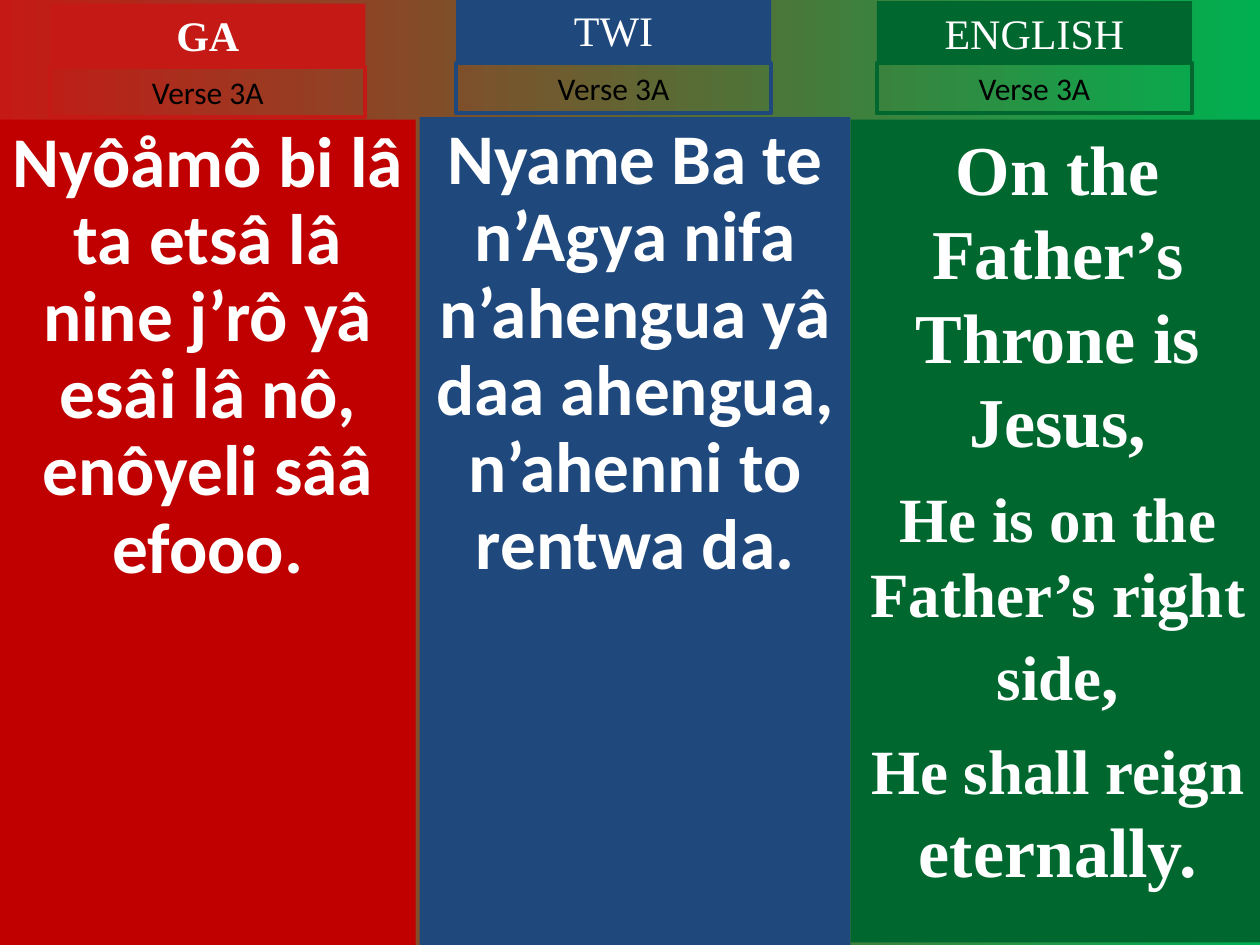
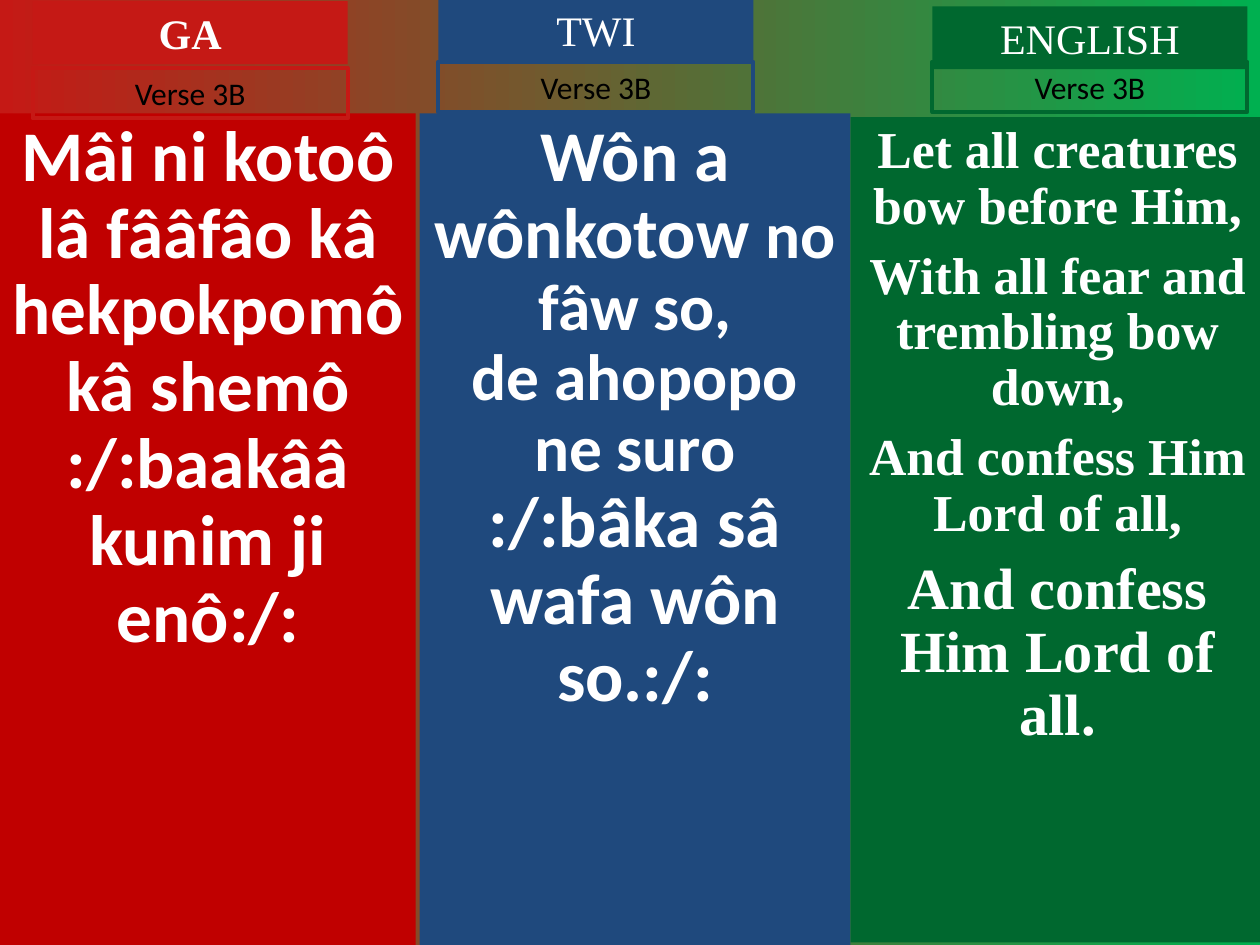
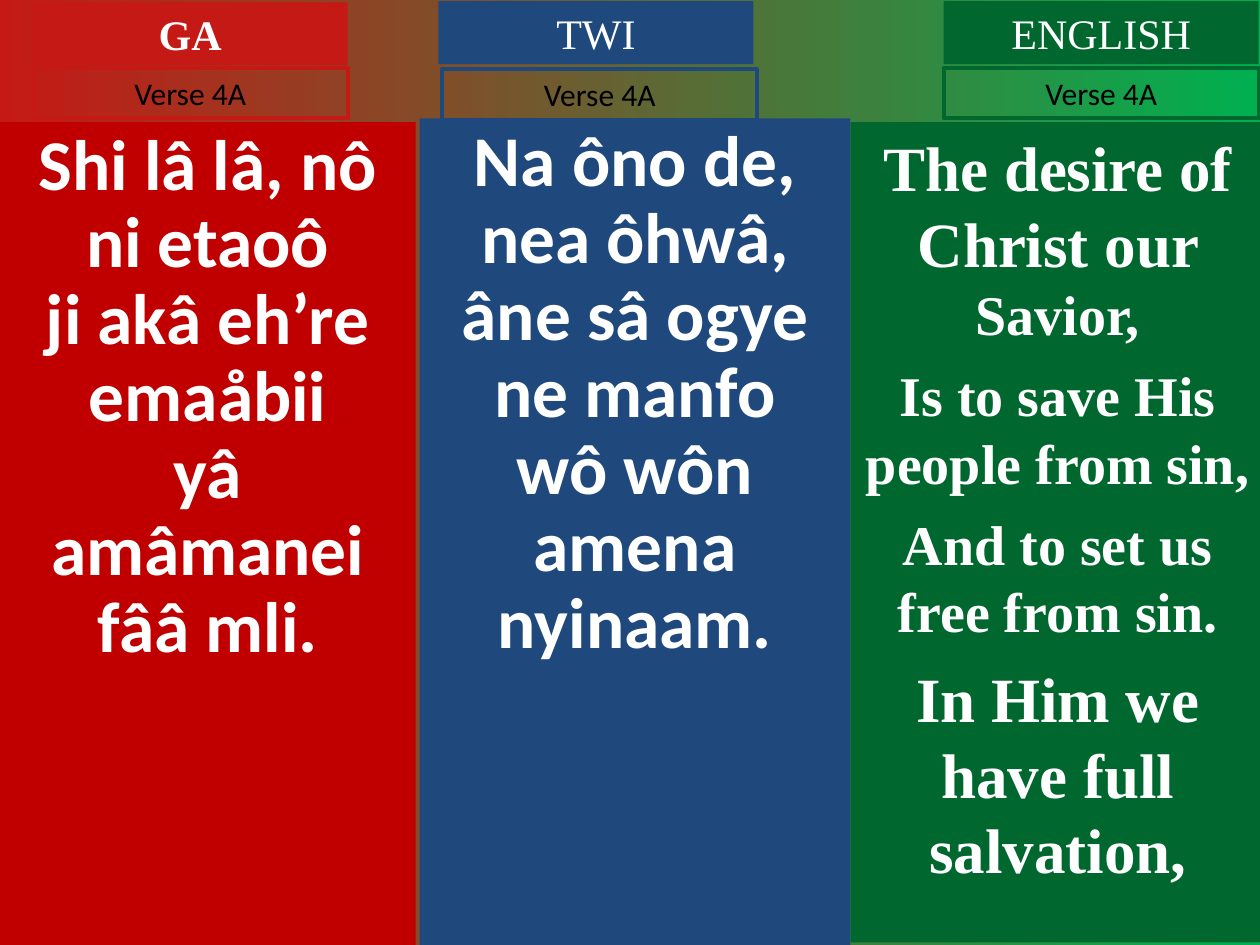
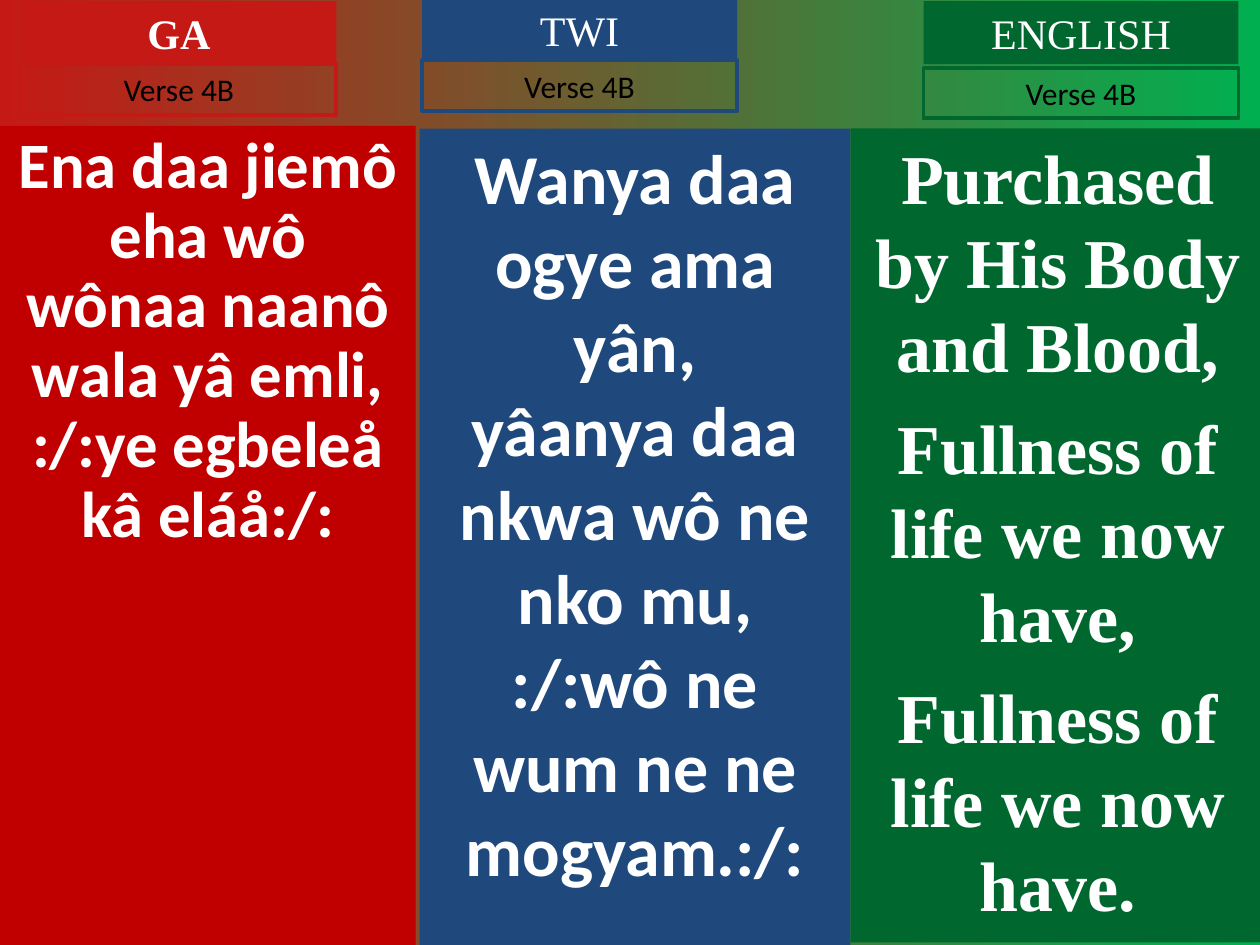
from dataclasses import dataclass
from math import ceil

from pptx import Presentation
from pptx.dml.color import RGBColor
from pptx.enum.shapes import MSO_SHAPE
from pptx.enum.text import MSO_ANCHOR, MSO_AUTO_SIZE, PP_ALIGN
from pptx.util import Inches, Pt

RED = RGBColor(0xC5, 0x19, 0x15)
DARK_RED = RGBColor(0xC0, 0x00, 0x00)
BLUE = RGBColor(0x1F, 0x49, 0x7D)
GREEN = RGBColor(0x00, 0x68, 0x2F)
BRIGHT_GREEN = RGBColor(0x00, 0xB0, 0x50)
WHITE = RGBColor(0xFF, 0xFF, 0xFF)
BLACK = RGBColor(0x00, 0x00, 0x00)

SANS = "Calibri"
SERIF = "Times New Roman"

SLIDE_HEIGHT = 7.5
LABEL_WIDTH = 2.5
HEADING_HEIGHT = 0.5
VERSE_HEIGHT = 0.4
SIDE_INSET = 0.1
NARROW_INSET = 0.08


@dataclass
class Language:
    name: str
    left: float
    width: float
    label_color: RGBColor
    column_color: RGBColor
    font: str
    bottom: float = SLIDE_HEIGHT
    bold_heading: bool = False
    spaced: bool = False


@dataclass
class Lyrics:
    """Text of one column; each line is a list of (text, size) spans."""
    top: float
    heading_at: tuple
    verse_at: tuple
    lines: list
    line_spacing: float = 0.9
    side_inset: float = SIDE_INSET


GA = Language("GA", 0, 3.3, RED, DARK_RED, SANS, bold_heading=True)
TWI = Language("TWI", 3.33, 3.42, BLUE, BLUE, SANS)
ENGLISH = Language("ENGLISH", 6.75, 3.29, GREEN, GREEN, SERIF, bottom=7.48, spaced=True)
LANGUAGES = [GA, TWI, ENGLISH]


def same_size(size, *texts):
    return [[(text, size)] for text in texts]


VERSES = {
    "Verse 3A": [
        Lyrics(0.95, (0.4, 0.03), (0.4, 0.53), same_size(
            40.8, "Nyôåmô bi lâ ta etsâ lâ", "nine j’rô yâ esâi lâ nô,", "enôyeli sââ efooo."),
            side_inset=NARROW_INSET),
        Lyrics(0.93, (3.62, -0.01), (3.62, 0.5), same_size(
            40.7, "Nyame Ba te n’Agya nifa", "n’ahengua yâ daa ahengua,",
            "n’ahenni to rentwa da.")),
        Lyrics(0.95, (6.96, 0.01), (6.96, 0.5), [
            [("On the Father’s Throne is Jesus,", 40)],
            [("He is on the Father’s right side", 36), (",", 40)],
            [("He shall reign ", 36), ("eternally.", 40)],
        ], line_spacing=1.0),
    ],
    "Verse 3B": [
        Lyrics(0.9, (0.26, 0.01), (0.26, 0.54), same_size(
            40.7, "Mâi ni kotoô lâ fââfâo kâ hekpokpomô kâ shemô",
            ":/:baakââ kunim ji enô:/:"), side_inset=NARROW_INSET),
        Lyrics(0.9, (3.48, -0.01), (3.48, 0.49), [
            [("Wôn a wônkotow ", 40.8), ("no fâw so,", 37.4)],
            [("de ahopopo ne suro", 37.4)],
            [(":/:bâka sâ wafa wôn so.:/:", 40.8)],
        ]),
        Lyrics(0.93, (7.4, 0.05), (7.4, 0.49), same_size(
            29.6, "Let all creatures bow before Him,", "With all fear and trembling bow down,",
            "And confess Him Lord of all,",
        ) + same_size(33.3, "And confess Him Lord of all.")),
    ],
    "Verse 4A": [
        Lyrics(0.97, (0.26, 0.02), (0.26, 0.54), same_size(
            40.8, "Shi lâ lâ, nô ni etaoô", "ji akâ eh’re emaåbii", "yâ amâmanei fââ mli.")),
        Lyrics(0.94, (3.48, 0.01), (3.51, 0.55), same_size(
            40.8, "Na ôno de, nea ôhwâ,", "âne sâ ogye ne manfo", "wô wôn amena nyinaam.")),
        Lyrics(0.97, (7.49, 0.01), (7.49, 0.54), [
            [("The desire of Christ our ", 36), ("Savior,", 32)],
            [("Is to save His people from sin,", 32)],
            [("And to set us free from sin.", 32)],
            [("In Him we have full salvation,", 36)],
        ], line_spacing=1.0),
    ],
    "Verse 4B": [
        Lyrics(1, (0.17, 0.01), (0.17, 0.51), same_size(
            37, "Ena daa jiemô eha wô", "wônaa naanô wala yâ emli,", ":/:ye egbeleå kâ eláå:/:")),
        Lyrics(1.02, (3.35, -0.01), (3.35, 0.48), same_size(
            40, "Wanya daa ogye ama yân,", "yâanya daa nkwa wô ne nko mu,",
            ":/:wô ne wum ne ne mogyam.:/:"), line_spacing=1.0),
        Lyrics(1.02, (7.33, 0.01), (7.33, 0.54), same_size(
            40, "Purchased by His Body and Blood,", "Fullness of life we now have,",
            "Fullness of life we now have."), line_spacing=1.0),
    ],
}


def set_background(master):
    fill = master.background.fill
    fill.gradient()
    fill.gradient_angle = 0
    for stop, color in zip(fill.gradient_stops, (RED, BRIGHT_GREEN)):
        stop.color.rgb = color


def add_box(page, left, top, width, height, fill=None, line=None):
    box = page.shapes.add_shape(
        MSO_SHAPE.RECTANGLE, Inches(left), Inches(top), Inches(width), Inches(height))
    box.shadow.inherit = False
    if fill is None:
        box.fill.background()
    else:
        box.fill.solid()
        box.fill.fore_color.rgb = fill
    if line is None:
        box.line.fill.background()
    else:
        box.line.color.rgb = line
        box.line.width = Pt(2.25)
    box.text_frame.word_wrap = True
    box.text_frame.vertical_anchor = MSO_ANCHOR.TOP
    return box


def add_span(para, text, size, font, color=WHITE, bold=False):
    para.alignment = PP_ALIGN.CENTER
    span = para.add_run()
    span.text = text
    span.font.size = Pt(size)
    span.font.name = font
    span.font.bold = bold
    span.font.color.rgb = color


def add_column(page, language, lyrics):
    box = add_box(page, language.left, lyrics.top, language.width,
                  language.bottom - lyrics.top, fill=language.column_color)
    frame = box.text_frame
    frame.margin_left = frame.margin_right = Inches(lyrics.side_inset)
    for index, line in enumerate(lyrics.lines):
        para = frame.add_paragraph() if index else frame.paragraphs[0]
        para.line_spacing = lyrics.line_spacing
        if index and language.spaced:
            last_size = line[-1][1]
            para.space_before = Pt(ceil(last_size / 4))
        for text, size in line:
            add_span(para, text, size, language.font, bold=True)


def add_label(page, position, height, text, size, font, color, bold=False, **paint):
    box = add_box(page, *position, LABEL_WIDTH, height, **paint)
    box.text_frame.auto_size = MSO_AUTO_SIZE.SHAPE_TO_FIT_TEXT
    add_span(box.text_frame.paragraphs[0], text, size, font, color, bold)


def add_verse_page(deck, verse, columns):
    page = deck.slides.add_slide(deck.slide_layouts.get_by_name("Blank"))
    for language, lyrics in zip(LANGUAGES, columns):
        add_column(page, language, lyrics)
        add_label(page, lyrics.heading_at, HEADING_HEIGHT, language.name, 24, SERIF, WHITE,
                  language.bold_heading, fill=language.label_color)
        add_label(page, lyrics.verse_at, VERSE_HEIGHT, verse, 18, SANS, BLACK,
                  line=language.label_color)


def main():
    deck = Presentation()
    deck.slide_width = Inches(10)
    deck.slide_height = Inches(SLIDE_HEIGHT)
    set_background(deck.slide_master)
    for verse, columns in VERSES.items():
        add_verse_page(deck, verse, columns)
    deck.save("out.pptx")


if __name__ == "__main__":
    main()
